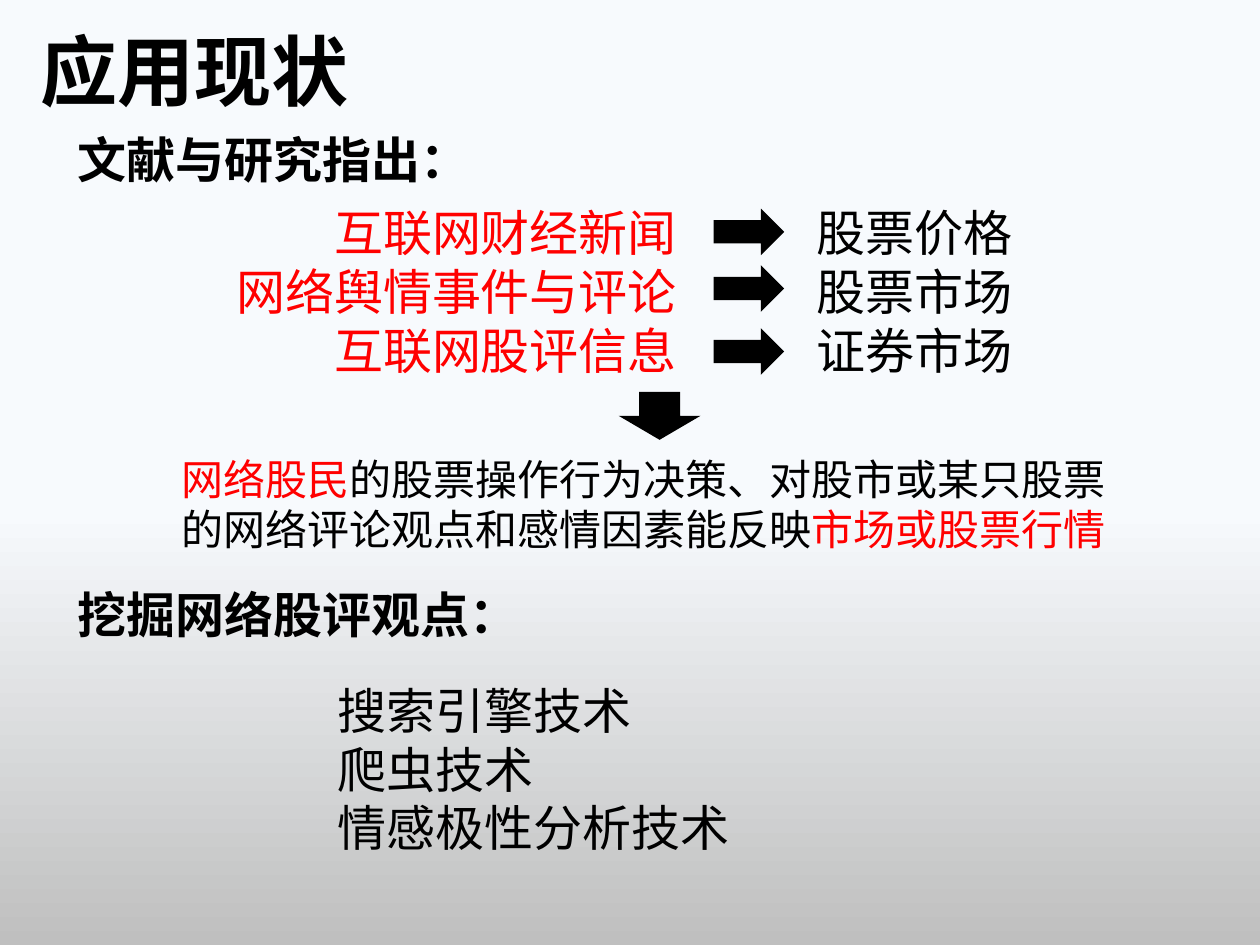
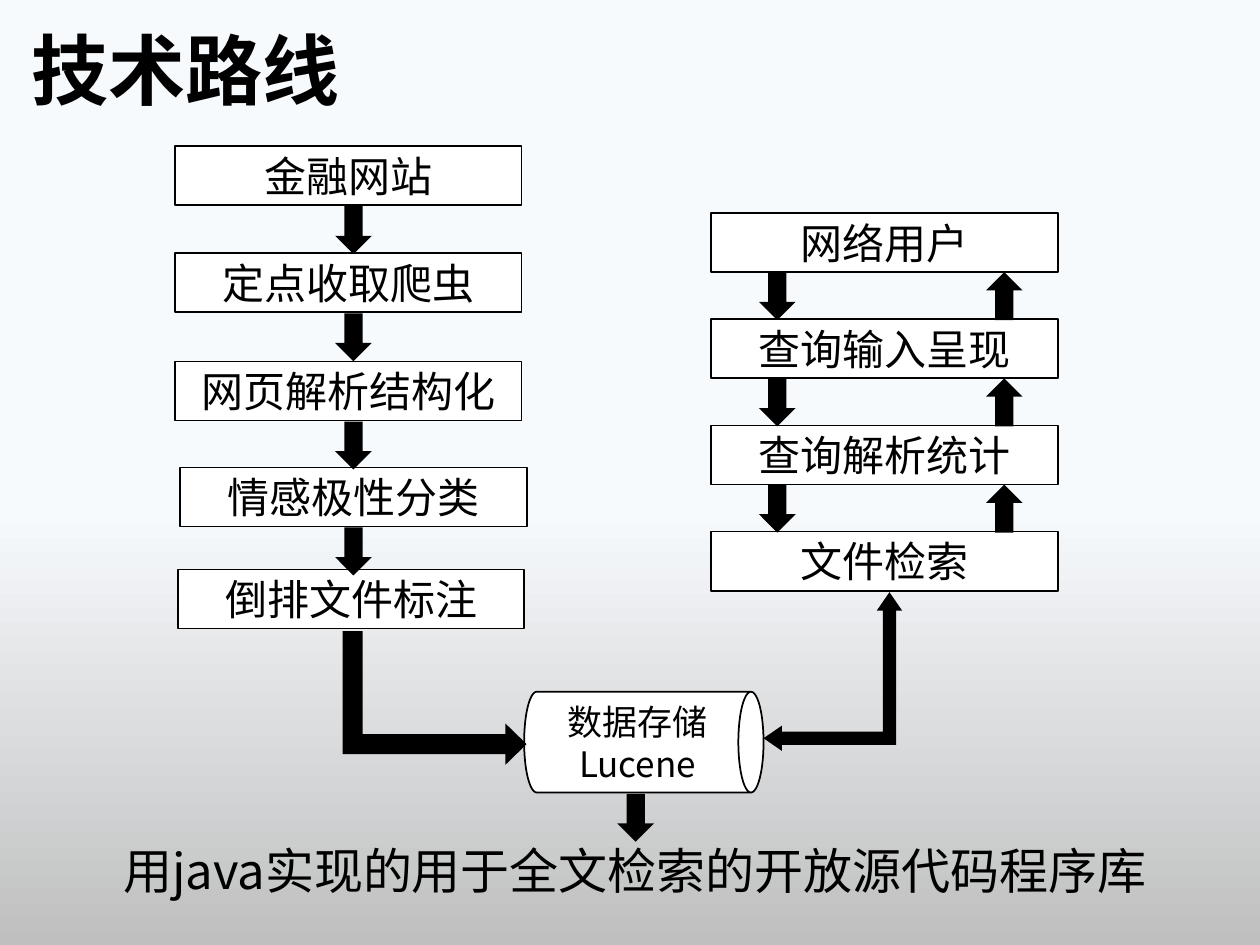
from lxml import etree
from pptx import Presentation
from pptx.dml.color import RGBColor
from pptx.enum.shapes import MSO_SHAPE as SHAPE
from pptx.enum.text import MSO_ANCHOR as ANCHOR, MSO_AUTO_SIZE as FIT, PP_ALIGN as ALIGN
from pptx.oxml.ns import qn
from pptx.util import Pt

COLORS = {"ink": "000000", "accent": "FF0000", "box": "FFFFFF",
          "bg_top": "F7FAFD", "bg_bottom": "BFBFBF"}
FONT = "Noto Sans CJK SC"
LEADING = 1.2
BOX_W, BOX_H = 198, 33.8
ARROW_W, ARROW_H = 20.9, 27.4


def rgb(name):
    return RGBColor.from_string(COLORS[name])


# Shared styling
def set_background(master):
    fill = master.background.fill
    fill.gradient()
    fill.gradient_angle = 270
    for stop, name, pos in zip(fill.gradient_stops, ("bg_top", "bg_bottom"), (0.54, 1)):
        stop.color.rgb = rgb(name)
        stop.position = pos


def style_run(r, size, color="ink", bold=False):
    r.font.size, r.font.bold = Pt(size), bold
    r.font.color.rgb = rgb(color)
    r.font.name = FONT
    etree.SubElement(r.font._element, qn("a:ea")).set("typeface", FONT)


def write(tf, lines, size, color="ink", bold=False, align=ALIGN.LEFT):
    """Each line is a string, or a list of (text, color) runs."""
    for i, line in enumerate(lines):
        p = tf.paragraphs[0] if i == 0 else tf.add_paragraph()
        p.alignment, p.line_spacing = align, Pt(size * LEADING)
        p.space_before = Pt(0)
        runs = [(line, color)] if isinstance(line, str) else line
        for text, run_color in runs:
            r = p.add_run()
            r.text = text
            style_run(r, size, run_color, bold)


def place(sp, x, y, w, h):
    sp.left, sp.top, sp.width, sp.height = Pt(x), Pt(y), Pt(w), Pt(h)


def add_text(slide, box, lines, size, **style):
    tf = slide.shapes.add_textbox(*map(Pt, box)).text_frame
    tf.word_wrap = True
    write(tf, lines, size, **style)


def add_title(slide, box, text):
    sp = slide.shapes.title
    place(sp, *box)
    tf = sp.text_frame
    tf.auto_size, tf.vertical_anchor = FIT.NONE, ANCHOR.TOP
    write(tf, [text], 44, bold=True)


def add_list(slide, box, lines, size):
    sp = slide.placeholders[1]
    place(sp, *box)
    sp.text_frame.auto_size = FIT.NONE
    write(sp.text_frame, lines, size)
    for p in sp.text_frame.paragraphs:
        pPr = p._p.get_or_add_pPr()
        pPr.set("marL", "0")
        pPr.set("indent", "0")
        etree.SubElement(pPr, qn("a:buNone"))


def add_arrow(slide, x, y, w=ARROW_W, h=ARROW_H, kind=SHAPE.DOWN_ARROW, rot=0, adj=()):
    sp = slide.shapes.add_shape(kind, Pt(x), Pt(y), Pt(w), Pt(h))
    sp.shadow.inherit = False
    sp.rotation = rot
    sp.fill.solid()
    sp.fill.fore_color.rgb = rgb("ink")
    sp.line.fill.background()
    for i, value in enumerate(adj):
        sp.adjustments[i] = value


def add_node(slide, x, y, text, w=BOX_W, h=BOX_H, kind=SHAPE.RECTANGLE, size=24):
    sp = slide.shapes.add_shape(kind, Pt(x), Pt(y), Pt(w), Pt(h))
    sp.shadow.inherit = False
    sp.fill.solid()
    sp.fill.fore_color.rgb = rgb("box")
    sp.line.color.rgb = rgb("ink")
    sp.line.width = Pt(1)
    sp.text_frame.vertical_anchor = ANCHOR.MIDDLE
    write(sp.text_frame, [text], size, align=ALIGN.CENTER)
    return sp


# Slide 1 regions
def influence_rows(slide, x, y):
    pairs = [("互联网财经新闻", "股票价格"), ("网络舆情事件与评论", "股票市场"),
             ("互联网股评信息", "证券市场")]
    causes, effects = zip(*pairs)
    add_text(slide, (x, y, 285.8, 108.7), causes, 28, color="accent", align=ALIGN.RIGHT)
    add_text(slide, (x + 351.4, y, 144.7, 108.7), effects, 28)
    for dy in (0, 32.4, 68.4):
        add_arrow(slide, x + 306.7, y + dy, 26.6, 40.3, rot=270)


def status_slide(prs):
    slide = prs.slides.add_slide(prs.slide_layouts[1])
    add_title(slide, (15.8, 10.1, 234.7, 60.5), "应用现状")
    for y, heading in ((70.6, "文献与研究指出："), (330.5, "挖掘网络股评观点：")):
        add_text(slide, (37.4, y, 293, 41), [heading], 28, bold=True)
    influence_rows(slide, 108, 112.3)
    add_arrow(slide, 353.5, 223.9, 46.8, 27.4)
    add_text(slide, (96.5, 255.6, 560.9, 65.5), [
        [("网络股民", "accent"), ("的股票操作行为决策、对股市或某只股票", "ink")],
        [("的网络评论观点和感情因素能反映", "ink"), ("市场或股票行情", "accent")]], 24)
    add_list(slide, (185.8, 385.2, 360, 108.7),
             ["搜索引擎技术", "爬虫技术", "情感极性分析技术"], 28)


# Slide 2 regions
def crawl_column(slide, x, y):
    steps = [("金融网站", 0, 0), ("定点收取爬虫", 0, 61.2), ("网页解析结构化", 0, 123.1),
             ("情感极性分类", 2.9, 183.6), ("倒排文件标注", 1.5, 241.9)]
    for text, dx, dy in steps:
        add_node(slide, x + dx, y + dy, text)
    for _, _, dy in steps[:-1]:
        add_arrow(slide, x + 91.4, y + dy + BOX_H + 0.5)


def query_column(slide, x, y, pitch=60.7):
    steps = ["网络用户", "查询输入呈现", "查询解析统计", "文件检索"]
    for i, text in enumerate(steps):
        add_node(slide, x, y + i * pitch, text)
    for i in range(len(steps) - 1):
        gap_y = y + i * pitch + BOX_H
        add_arrow(slide, x + 27.3, gap_y)
        add_arrow(slide, x + 157, gap_y, rot=180)


def storage(slide, x, y):
    can = add_node(slide, x, y, "数据存储 Lucene", 57.6, 136.8, SHAPE.CAN, 20)
    can.rotation = 90
    can.element.txBody.bodyPr.set("vert", "vert270")
    add_arrow(slide, x + 13.7, y + 97.9)
    add_arrow(slide, x - 128.9, y - 9.4, 76.3, 105.1, SHAPE.BENT_UP_ARROW,
              rot=90, adj=(0.149, 0.154, 0.158))
    add_arrow(slide, x + 97.2, y - 17.3, 79.2, 90.7, SHAPE.LEFT_UP_ARROW,
              adj=(0.096, 0.091, 0.133))


def route_slide(prs):
    slide = prs.slides.add_slide(prs.slide_layouts[5])
    add_title(slide, (10.8, 9.4, 192.2, 60.5), "技术路线")
    crawl_column(slide, 100.1, 83.5)
    query_column(slide, 406.4, 121.7)
    storage(slide, 339.1, 355.7)
    add_text(slide, (63.4, 476.6, 640, 41),
             ["用java实现的用于全文检索的开放源代码程序库"], 28)


def main():
    prs = Presentation()
    prs.slide_width, prs.slide_height = Pt(720), Pt(540)
    set_background(prs.slide_master)
    status_slide(prs)
    route_slide(prs)
    prs.save("out.pptx")


if __name__ == "__main__":
    main()
